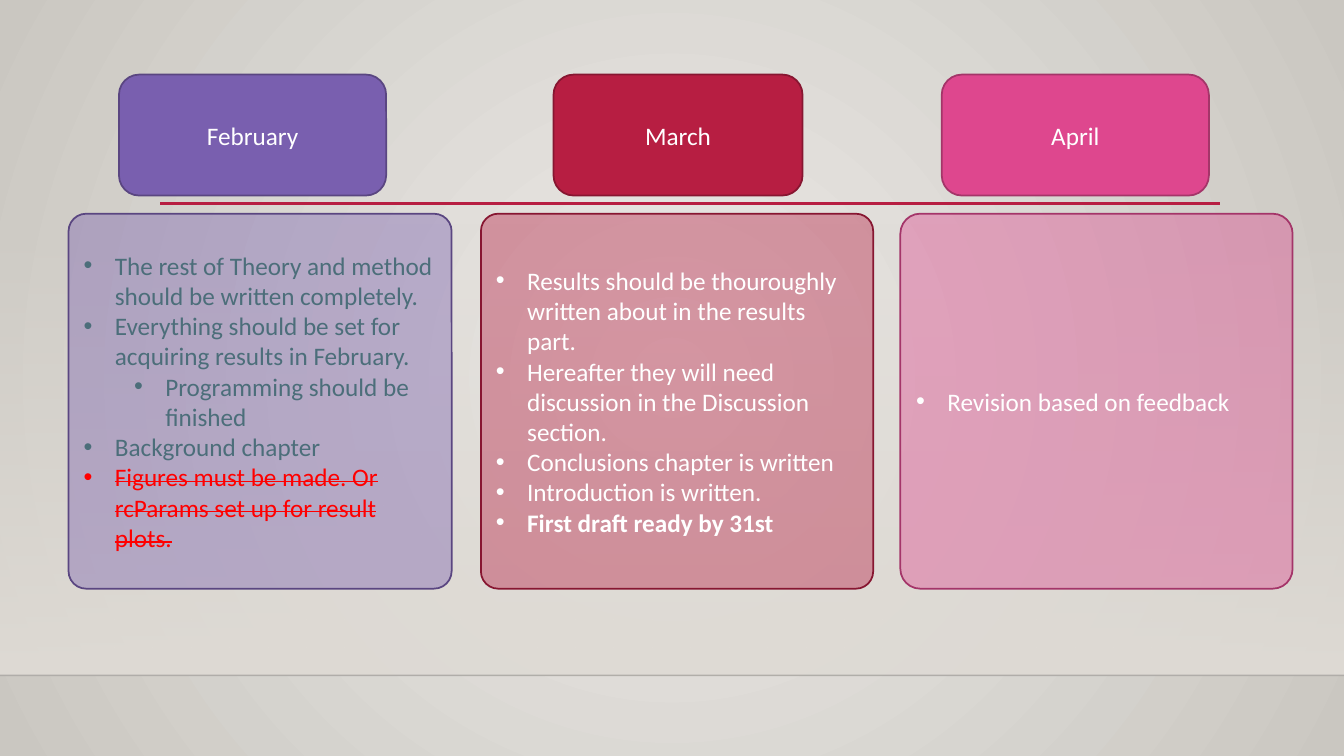
from dataclasses import dataclass

from pptx import Presentation
from pptx import util as u
from pptx.dml import color
from pptx.enum import shapes, text
from pptx.oxml import ns, parse_xml
from pptx.oxml.xmlchemy import BaseOxmlElement


@dataclass(frozen=True)
class Theme:
    font: str = "Calibri"
    text_size: int = 18
    white: str = "FFFFFF"
    slate: str = "4C6E7A"
    red: str = "FF0000"
    crimson: str = "B71E42"
    backdrop_inner: str = "ECEAE7"
    backdrop_outer: str = "CAC7C1"
    wall: str = "DFDBD5"
    floor_line: str = "000001"
    outline: float = 1.25
    timeline: float = 2.5
    panel_alpha: int = 40
    floor_alpha: int = 20


@dataclass(frozen=True)
class Item:
    words: str
    level: int = 0
    bold: bool = False
    done: bool = False


@dataclass(frozen=True)
class Month:
    name: str
    fill: str
    line: str
    ink: str
    tab_left: float
    tab_width: float
    panel_left: float
    panel_width: float
    corner: float
    items: tuple[Item, ...]


THEME = Theme()
WIDTH, HEIGHT = 13.33, 7.5
FLOOR_TOP = 6.7
WALL_TOP = 2.21
TAB_TOP, TAB_HEIGHT = 0.74, 1.2
PANEL_TOP, PANEL_HEIGHT = 2.12, 3.72
BULLET_INDENT, LEVEL_STEP = 0.31, 0.5

MONTHS = (
    Month("February", "795FAF", "5A4681", THEME.slate, 1.18, 2.65, 0.68, 3.8, 0.047, (
        Item("The rest of Theory and method should be written completely."),
        Item("Everything should be set for acquiring results in February."),
        Item("Programming should be finished", level=1),
        Item("Background chapter"),
        Item("Figures must be made. Or rcParams set up for result plots.", done=True),
    )),
    Month("March", THEME.crimson, "871631", THEME.white, 5.49, 2.47, 4.77, 3.89, 0.046, (
        Item("Results should be thouroughly written about in the results part."),
        Item("Hereafter they will need discussion in the Discussion section."),
        Item("Conclusions chapter is written"),
        Item("Introduction is written."),
        Item("First draft ready by 31st", bold=True),
    )),
    Month("April", "DE478E", "A43569", THEME.white, 9.34, 2.65, 8.93, 3.89, 0.053, (
        Item("Revision based on feedback"),
    )),
)


def rgb(code: str) -> color.RGBColor:
    return color.RGBColor.from_string(code)


def set_alpha(holder: BaseOxmlElement, percent: int) -> None:
    """Make the first colour inside the holder partly transparent."""
    tint = holder.find(".//" + ns.qn("a:srgbClr"))
    tint.append(parse_xml(f'<a:alpha {ns.nsdecls("a")} val="{percent * 1000}"/>'))


def set_gradient(owner: BaseOxmlElement, first: str, last: str,
                 first_alpha: int, direction: str) -> None:
    """Replace the owner's default gradient with a two-stop one."""
    default = owner.find(".//" + ns.qn("a:gradFill"))
    default.getparent().replace(default, parse_xml(
        f'<a:gradFill {ns.nsdecls("a")} rotWithShape="1"><a:gsLst>'
        f'<a:gs pos="0"><a:srgbClr val="{first}"><a:alpha val="{first_alpha * 1000}"/>'
        f'</a:srgbClr></a:gs><a:gs pos="100000"><a:srgbClr val="{last}"/></a:gs>'
        f'</a:gsLst>{direction}</a:gradFill>'))


def add_box(page, kind, left: float, top: float, width: float, height: float):
    box = page.shapes.add_shape(kind, u.Inches(left), u.Inches(top),
                                u.Inches(width), u.Inches(height))
    box.shadow.inherit = False
    return box


def add_rule(page, left: float, right: float, y: float, code: str, weight: float):
    rule = page.shapes.add_connector(shapes.MSO_CONNECTOR.STRAIGHT, u.Inches(left),
                                     u.Inches(y), u.Inches(right), u.Inches(y))
    rule.line.color.rgb = rgb(code)
    rule.line.width = u.Pt(weight)
    rule.element.spPr.append(parse_xml(f'<a:effectLst {ns.nsdecls("a")}/>'))
    return rule


def add_month_box(page, month: Month, left: float, top: float, width: float, height: float):
    """Add a rounded box in the month's colours, with its text centred vertically."""
    box = add_box(page, shapes.MSO_SHAPE.ROUNDED_RECTANGLE, left, top, width, height)
    box.fill.solid()
    box.fill.fore_color.rgb = rgb(month.fill)
    box.line.color.rgb = rgb(month.line)
    box.line.width = u.Pt(THEME.outline)
    box.text_frame.word_wrap = True
    box.text_frame.vertical_anchor = text.MSO_ANCHOR.MIDDLE
    return box


def add_span(para, words: str, ink: str):
    span = para.add_run()
    span.text = words
    span.font.name = THEME.font
    span.font.size = u.Pt(THEME.text_size)
    span.font.color.rgb = rgb(ink)
    return span


def set_bullet(para, level: int) -> None:
    para.level = level
    props = para._p.get_or_add_pPr()
    props.set("marL", str(u.Inches(BULLET_INDENT + level * LEVEL_STEP)))
    props.set("indent", str(-u.Inches(BULLET_INDENT)))
    props.append(parse_xml(f'<a:buFont {ns.nsdecls("a")} typeface="Arial"/>'))
    props.append(parse_xml(f'<a:buChar {ns.nsdecls("a")} char="•"/>'))


def add_tab(page, month: Month) -> None:
    box = add_month_box(page, month, month.tab_left, TAB_TOP, month.tab_width, TAB_HEIGHT)
    para = box.text_frame.paragraphs[0]
    para.alignment = text.PP_ALIGN.CENTER
    add_span(para, month.name, THEME.white)


def add_panel(page, month: Month) -> None:
    box = add_month_box(page, month, month.panel_left, PANEL_TOP,
                        month.panel_width, PANEL_HEIGHT)
    box.adjustments[0] = month.corner
    set_alpha(box.element.spPr, THEME.panel_alpha)
    frame = box.text_frame
    for index, item in enumerate(month.items):
        para = frame.add_paragraph() if index else frame.paragraphs[0]
        para.alignment = text.PP_ALIGN.LEFT
        set_bullet(para, item.level)
        span = add_span(para, item.words, THEME.red if item.done else month.ink)
        span.font.bold = item.bold
        if item.done:
            span.font._element.set("strike", "sngStrike")


def add_backdrop(page) -> None:
    page.background.fill.gradient()
    set_gradient(page.element, THEME.backdrop_inner, THEME.backdrop_outer, 100,
                 '<a:path path="circle"><a:fillToRect l="50000" t="50000" '
                 'r="50000" b="50000"/></a:path>')
    wall = add_box(page, shapes.MSO_SHAPE.RECTANGLE, 0, WALL_TOP, WIDTH, FLOOR_TOP - WALL_TOP)
    wall.line.fill.background()
    wall.fill.gradient()
    set_gradient(wall.element, THEME.wall, THEME.wall, 0,
                 '<a:lin ang="5400000" scaled="0"/>')
    floor = add_rule(page, 0, WIDTH, FLOOR_TOP, THEME.floor_line, 1)
    set_alpha(floor.element.spPr, THEME.floor_alpha)


def main() -> None:
    deck = Presentation()
    deck.slide_width, deck.slide_height = u.Inches(WIDTH), u.Inches(HEIGHT)
    page = deck.slides.add_slide(deck.slide_layouts[6])
    add_backdrop(page)
    add_rule(page, 1.59, 12.1, 2.02, THEME.crimson, THEME.timeline)
    for add_part in (add_tab, add_panel):
        for month in MONTHS:
            add_part(page, month)
    deck.save("out.pptx")


if __name__ == "__main__":
    main()
